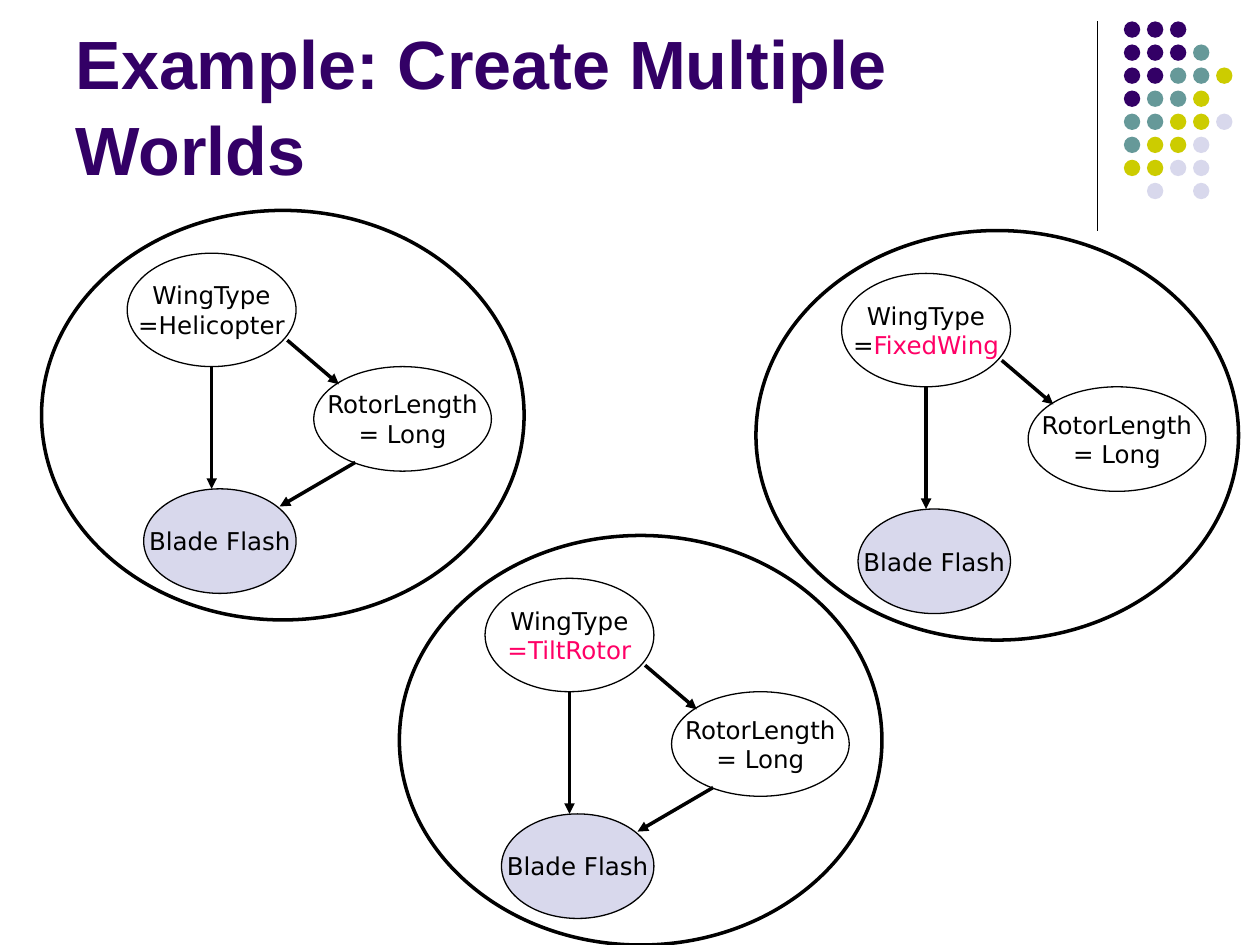
from pptx import Presentation
from pptx import util as u
from pptx.dml.color import RGBColor
from pptx.enum import shapes, text
from pptx.oxml.ns import qn
from lxml import etree

Inches, Pt = u.Inches, u.Pt
PURPLE, TEAL, OLIVE, LILAC = "330066", "669999", "CCCC00", "D8D8EC"
BLACK, PINK = "000000", "FF0066"


def paint(color_format, color):
    color_format.rgb = RGBColor.from_string(color)


def add_ellipse(container, box, fill=None, line_width=None):
    shape = container.add_shape(shapes.MSO_SHAPE.OVAL, *[Inches(value) for value in box])
    shape.shadow.inherit = False
    if fill:
        shape.fill.solid()
        paint(shape.fill.fore_color, fill)
    else:
        shape.fill.background()
    if line_width:
        paint(shape.line.color, BLACK)
        shape.line.width = Pt(line_width)
    else:
        shape.line.fill.background()
    return shape


presentation = Presentation()
presentation.slide_width, presentation.slide_height = Inches(10), Inches(7.5)
slide = presentation.slides.add_slide(presentation.slide_layouts[5])

# Vertical rule beside the title
rule = slide.shapes.add_connector(
    shapes.MSO_CONNECTOR.STRAIGHT, Inches(8.71), Inches(0.17), Inches(8.71), Inches(1.83))
paint(rule.line.color, BLACK)
rule.line.width = Pt(0.75)
etree.SubElement(rule._element.spPr, qn("a:effectLst"))

# Dot pattern: one letter per dot, a space for a gap
dot_colors = {"P": PURPLE, "T": TEAL, "O": OLIVE, "L": LILAC}
dot_rows = ["PPP", "PPPT", "PPTTO", "PTTO", "TTOOL", "TOOL", "OOLL", " L L"]
dots = slide.shapes.add_group_shape().shapes
for row, letters in enumerate(dot_rows):
    for column, letter in enumerate(letters):
        if letter in dot_colors:
            left, top = 8.92 + column * 0.183, 0.17 + row * 0.183
            add_ellipse(dots, (left, top, 0.13, 0.13), dot_colors[letter])

# Title
title = slide.shapes.title
title.left, title.top = Inches(0.5), Inches(0.13)
title.width, title.height = Inches(8.25), Inches(1.42)
title.text_frame.auto_size = text.MSO_AUTO_SIZE.NONE
title.text_frame.vertical_anchor = text.MSO_ANCHOR.BOTTOM
paragraph = title.text_frame.paragraphs[0]
paragraph.alignment = text.PP_ALIGN.LEFT
paragraph.line_spacing = 1.05
run = paragraph.add_run()
run.text = "Example: Create Multiple Worlds"
run.font.name, run.font.size, run.font.bold = "Arial", Pt(39), True
paint(run.font.color, PURPLE)

# Worlds: position, value of WingType as runs, and whether rotor points to flash
worlds = [
    (0.33, 1.67, [("=Helicopter", BLACK)], True),
    (3.17, 4.25, [("=TiltRotor", PINK)], True),
    (6.00, 1.83, [("=", BLACK), ("FixedWing", PINK)], False),
]
for left, top, wing_type, rotor_causes_flash in worlds:
    world = slide.shapes.add_group_shape().shapes

    # Nodes, placed relative to the world's corner
    nodes = [
        ((0.68, 0.34, 1.34, 0.90), None, [[("WingType", BLACK)], wing_type]),
        ((0.81, 2.21, 1.21, 0.83), LILAC, [[("Blade Flash", BLACK)]]),
        ((2.16, 1.24, 1.41, 0.83), None, [[("RotorLength", BLACK)], [("= Long", BLACK)]]),
    ]
    for (x, y, width, height), fill, lines in nodes:
        node = add_ellipse(world, (left + x, top + y, width, height), fill, 0.75)
        frame = node.text_frame
        frame.word_wrap = False
        frame.vertical_anchor = text.MSO_ANCHOR.MIDDLE
        for index, line in enumerate(lines):
            paragraph = frame.add_paragraph() if index else frame.paragraphs[0]
            paragraph.alignment = text.PP_ALIGN.CENTER
            for words, color in line:
                run = paragraph.add_run()
                run.text = words
                run.font.name, run.font.size = "DejaVu Sans", Pt(14)
                paint(run.font.color, color)

    # Arrows between the nodes
    arrows = [(1.35, 1.24, 1.35, 2.21), (1.95, 1.03, 2.36, 1.38)]
    if rotor_causes_flash:
        arrows.append((2.49, 2.00, 1.89, 2.35))
    for x1, y1, x2, y2 in arrows:
        arrow = world.add_connector(
            shapes.MSO_CONNECTOR.STRAIGHT,
            Inches(left + x1), Inches(top + y1), Inches(left + x2), Inches(top + y2))
        paint(arrow.line.color, BLACK)
        arrow.line.width = Pt(2)
        etree.SubElement(arrow.line._get_or_add_ln(), qn("a:tailEnd"), type="triangle")
        etree.SubElement(arrow._element.spPr, qn("a:effectLst"))

    # Boundary of the world
    add_ellipse(world, (left, top, 3.83, 3.25), line_width=2)

presentation.save("out.pptx")
